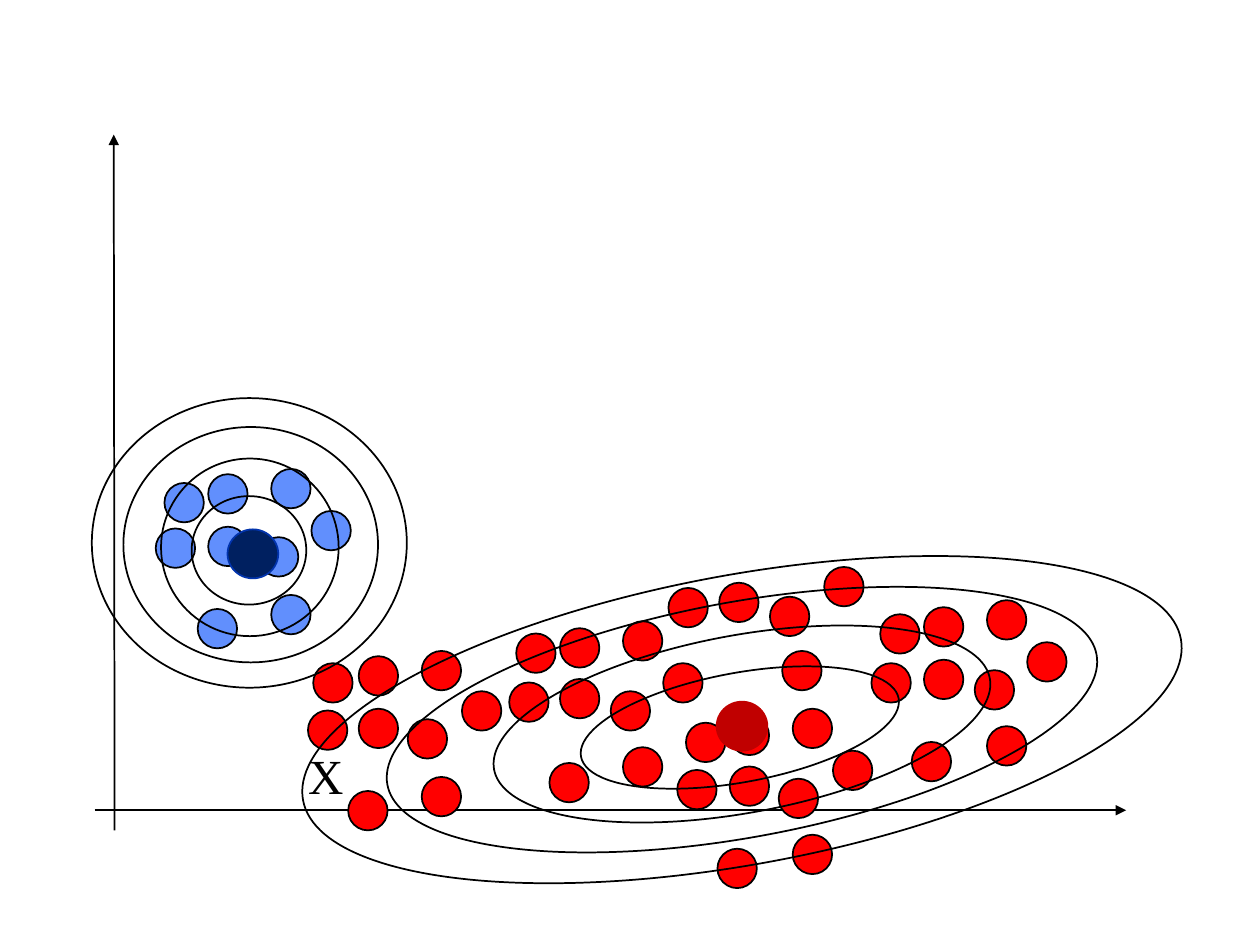
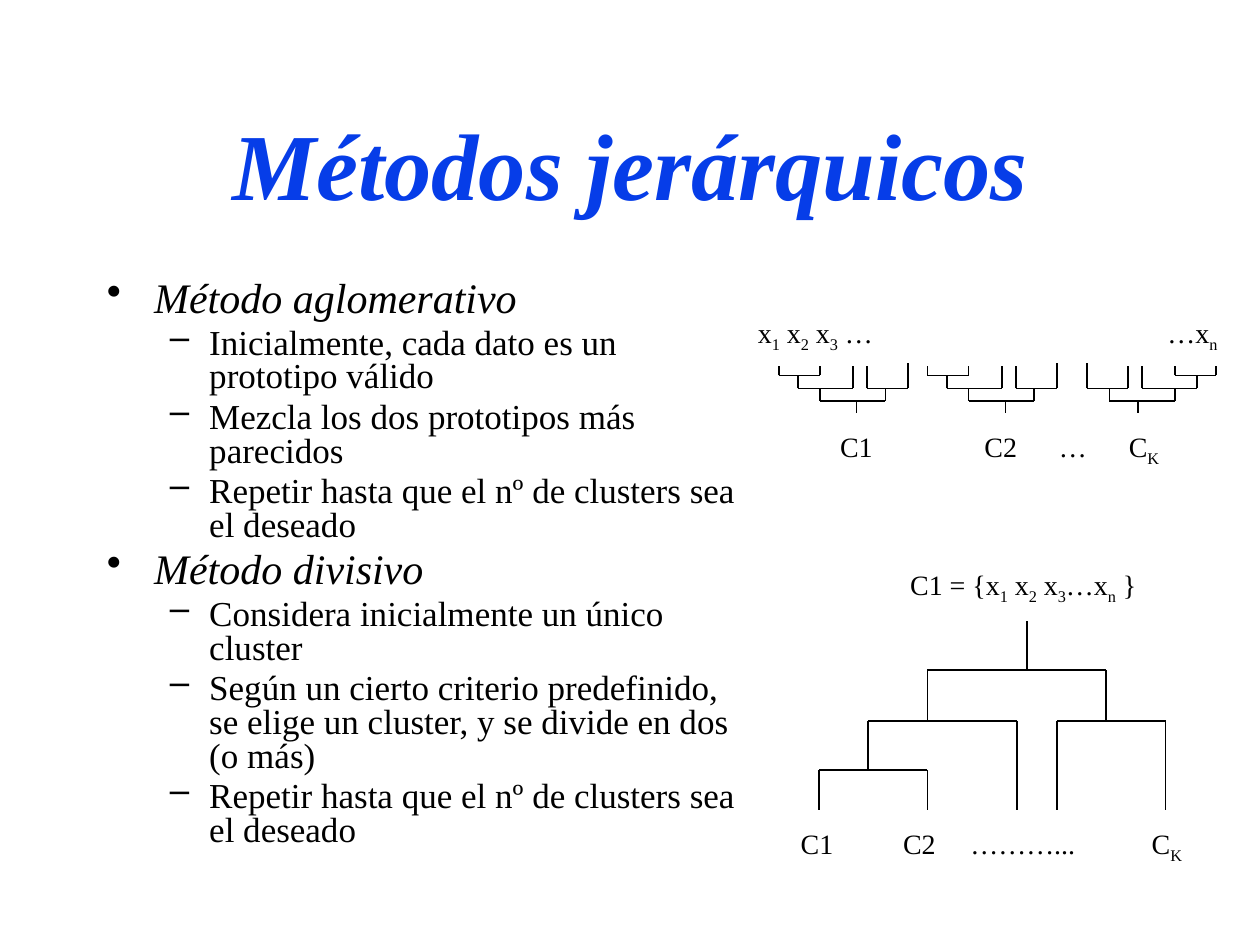
from lxml import etree
from pptx import Presentation
from pptx.dml.color import RGBColor as RGB
from pptx.enum.shapes import MSO_CONNECTOR as LINK, MSO_SHAPE as SHAPE
from pptx.enum.text import MSO_ANCHOR as ANCHOR, PP_ALIGN as ALIGN
from pptx.oxml.ns import qn
from pptx.util import Pt

HUES = {"ink": "000000", "title": "063DE8", "blue": "618FFD", "red": "FF0000",
        "navy": "002060", "rim": "0234AD", "wine": "C00000"}
FACE = "Times New Roman"
TITLE, BLANK = 5, 6
DOT = 22.5
TILT = -10.4


def hue(name):
    return RGB.from_string(HUES[name])


def add_tag(node, tag, **attrs):
    return etree.SubElement(node, qn(tag), attrs)


class Deck:
    def __init__(self):
        self.prs = Presentation()
        self.prs.slide_width, self.prs.slide_height = Pt(720), Pt(540)

    def start(self, layout):
        self.slide = self.prs.slides.add_slide(self.prs.slide_layouts[layout])
        self.shapes = self.slide.shapes

    def add_runs(self, para, text, tone="ink", **style):
        """Add text as runs; the character after each underscore is a subscript."""
        head, *rest = text.split("_")
        parts = [(head, False)]
        for bit in rest:
            parts += [(bit[0], True), (bit[1:], False)]
        for words, low in parts:
            if not words:
                continue
            run = para.add_run()
            run.text = words
            for key, value in {"name": FACE, **style}.items():
                setattr(run.font, key, value)
            run.font.color.rgb = hue(tone)
            if low:
                run._r.get_or_add_rPr().set("baseline", "-25000")

    def title(self, text, *box):
        shape = self.shapes.title
        self.place(shape, box)
        frame = shape.text_frame
        frame.vertical_anchor = ANCHOR.MIDDLE
        para = frame.paragraphs[0]
        para.alignment = ALIGN.CENTER
        self.add_runs(para, text, "title", size=Pt(54), bold=True, italic=True)

    def place(self, shape, box):
        for key, value in zip(("left", "top", "width", "height"), box):
            setattr(shape, key, Pt(value))

    def frame(self, *box):
        frame = self.shapes.add_textbox(*map(Pt, box)).text_frame
        frame.word_wrap = True
        return frame

    def label(self, text, *box, size=16, tabs=()):
        para = self.frame(*box).paragraphs[0]
        if tabs:
            stops = add_tag(para._p.get_or_add_pPr(), "a:tabLst")
            for stop in tabs:
                add_tag(stops, "a:tab", pos=str(Pt(stop)), algn="l")
        self.add_runs(para, text, size=Pt(size))

    def bullets(self, items, *box):
        frame = self.frame(*box)
        levels = (("•", 27, -27, 24), ("–", 58.5, -22.5, 20))
        for i, (level, text) in enumerate(items):
            mark, left, hang, size = levels[level]
            para = frame.add_paragraph() if i else frame.paragraphs[0]
            para.level = level
            props = para._p.get_or_add_pPr()
            props.set("marL", str(Pt(left)))
            props.set("indent", str(Pt(hang)))
            add_tag(props, "a:buChar", char=mark)
            para.line_spacing = 0.8
            if i:
                para.space_before = Pt(size * 0.2)
            self.add_runs(para, text, size=Pt(size), italic=level == 0)

    def oval(self, *box, fill=None, rim="ink", turn=0):
        shape = self.shapes.add_shape(SHAPE.OVAL, *map(Pt, box))
        shape.shadow.inherit = False
        shape.rotation = turn
        if fill:
            shape.fill.solid()
            shape.fill.fore_color.rgb = hue(fill)
        else:
            shape.fill.background()
        shape.line.color.rgb = hue(rim)
        shape.line.width = Pt(1)

    def dots(self, spots, fill):
        for x, y in spots:
            self.oval(x, y, DOT, DOT, fill=fill)

    def line(self, *ends, arrow=False):
        link = self.shapes.add_connector(LINK.STRAIGHT, *map(Pt, ends))
        link.line.color.rgb = hue("ink")
        link.line.width = Pt(1)
        props = link._element.spPr
        if arrow:
            add_tag(props.find(qn("a:ln")), "a:tailEnd", type="triangle")
        add_tag(props, "a:effectLst")

    def fork(self, x1, x2, y, end1, end2):
        """Draw a bar at y with a leg at each end."""
        self.line(x1, y, x2, y)
        self.line(x1, y, x1, end1)
        self.line(x2, y, x2, end2)

    def tree(self, x, way=1):
        """Draw a merge tree from x; way -1 mirrors it."""
        for a, b, *ys in ((0, 23.5, 214.5, 209, 209),
                          (11, 42.5, 222, 214.5, 209),
                          (50.5, 74, 222, 209, 207.5),
                          (23.5, 61, 229, 222, 222)):
            self.fork(x + way * a, x + way * b, *ys)
        stem = x + way * 44.5
        self.line(stem, 229, stem, 236)


BLUES = [(94, 276), (119, 271), (89, 302), (119, 301), (155, 268),
         (148, 307), (113, 348), (155, 340), (178, 292)]
REDS = [(179, 379), (205, 375), (176, 406), (205, 405), (241, 372),
        (233, 411), (199, 452), (241, 444), (264, 395), (295, 362),
        (320, 359), (291, 390), (320, 388), (356, 355), (349, 395),
        (314, 436), (356, 427), (379, 379), (392, 413), (417, 409),
        (387, 440), (417, 438), (453, 405), (445, 445), (410, 485),
        (453, 477), (476, 429), (503, 351), (528, 347), (498, 379),
        (528, 377), (564, 343), (557, 383), (521, 424), (564, 415),
        (587, 367), (382, 336), (411, 333), (440, 341), (447, 372),
        (471, 324)]
ROUND = [(109.5, 283.5, 65.5, 62), (92, 262, 101.5, 101.5),
         (70.5, 244, 145.5, 134.5), (52.5, 227.5, 180, 165.5)]
LONG = [(330.5, 384.5, 184.5, 62.5), (280, 363, 288, 101.5),
        (218, 344, 412, 134.5), (169, 328.5, 510, 165.5)]
STEPS = [
    (0, "Método aglomerativo"),
    (1, "Inicialmente, cada dato es un prototipo válido"),
    (1, "Mezcla los dos prototipos más parecidos"),
    (1, "Repetir hasta que el nº de clusters sea el deseado"),
    (0, "Método divisivo"),
    (1, "Considera inicialmente un único cluster"),
    (1, "Según un cierto criterio predefinido, se elige un cluster, "
        "y se divide en dos (o más)"),
    (1, "Repetir hasta que el nº de clusters sea el deseado"),
]


def draw_clusters(deck):
    deck.start(BLANK)
    deck.dots(BLUES, "blue")
    deck.line(54, 463, 643.5, 463, arrow=True)
    deck.line(65.5, 474.5, 65, 77, arrow=True)
    deck.dots(REDS, "red")
    deck.label("X", 169, 422.5, 35.5, 41, size=28)
    deck.oval(130, 302.5, 29, 28, fill="navy", rim="rim")
    deck.oval(409.5, 401, 29, 28, fill="wine", rim="wine")
    for ring in ROUND:
        deck.oval(*ring)
    for ring in LONG:
        deck.oval(*ring, turn=TILT)


def draw_methods(deck):
    deck.start(TITLE)
    deck.title("Métodos jerárquicos", 54, 48, 612, 90)
    deck.bullets(STEPS, 54, 157, 379.5, 324)

    deck.label("x_1 x_2 x_3 …\t…x_n", 426, 177, 284.5, 26.5, tabs=[234])
    deck.tree(445)
    deck.tree(530)
    deck.tree(695, way=-1)
    deck.label("C1\tC2\t…\tC_K", 473, 242, 199, 26.5, tabs=[82.5, 125, 165])

    deck.label("C1 = {x_1 x_2 x_3…x_n }", 513, 321, 148, 26.5)
    deck.line(587, 355, 587, 383)
    for fork in ((530, 632, 383, 412, 412), (496, 581, 412, 440, 463),
                 (604, 666, 412, 463, 463), (468, 530, 440, 463, 463)):
        deck.fork(*fork)
    deck.label("C1\tC2\t………...\tC_K", 450.5, 469, 235, 26.5,
               tabs=[58.5, 97, 200.5])


def main():
    deck = Deck()
    draw_clusters(deck)
    draw_methods(deck)
    deck.prs.save("out.pptx")


if __name__ == "__main__":
    main()
